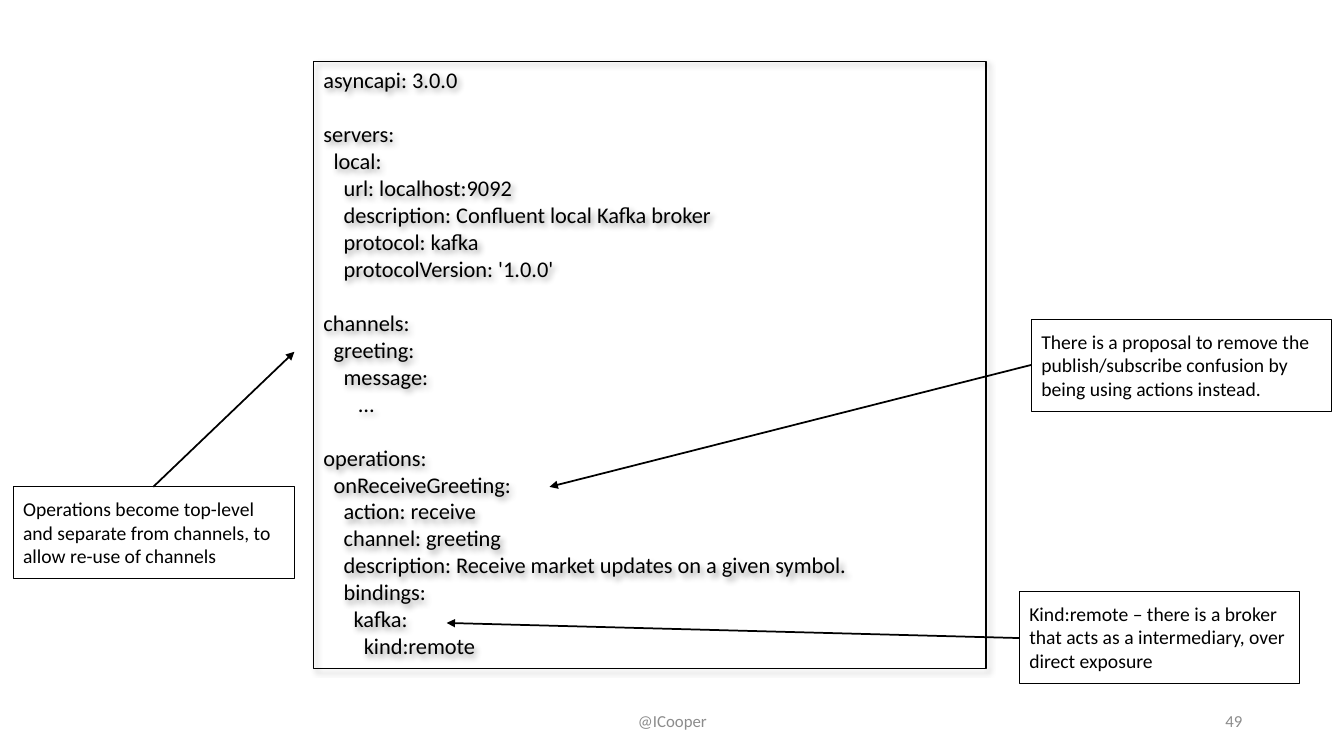
from dataclasses import dataclass

from lxml import etree
from pptx import Presentation
from pptx.dml.color import RGBColor
from pptx.enum.shapes import MSO_CONNECTOR, MSO_SHAPE
from pptx.enum.text import MSO_ANCHOR, MSO_AUTO_SIZE, PP_ALIGN
from pptx.oxml import parse_xml
from pptx.oxml.ns import nsdecls, qn
from pptx.util import Emu, Pt

RECTANGLE = MSO_SHAPE.RECTANGLE
STRAIGHT = MSO_CONNECTOR.STRAIGHT
TOP, MIDDLE = MSO_ANCHOR.TOP, MSO_ANCHOR.MIDDLE
LEFT, CENTER, RIGHT = PP_ALIGN.LEFT, PP_ALIGN.CENTER, PP_ALIGN.RIGHT
GROW, FIXED = MSO_AUTO_SIZE.SHAPE_TO_FIT_TEXT, MSO_AUTO_SIZE.NONE

PX = 9144  # EMU in one px, 100 px to the inch
FONT = "Calibri"
COLORS = {"ink": "000000", "footer": "8C8C8C"}
CODE_LINE = 19.5  # points in one line of code

CODE = """asyncapi: 3.0.0

servers:
  local:
    url: localhost:9092
    description: Confluent local Kafka broker
    protocol: kafka
    protocolVersion: '1.0.0'

channels:
  greeting:
    message:
       …

operations:
  onReceiveGreeting:
    action: receive
    channel: greeting
    description: Receive market updates on a given symbol.
    bindings:
      kafka:
        kind:remote"""


@dataclass(frozen=True)
class Area:
    left: int
    top: int
    width: int
    height: int

    def emu(self) -> list[Emu]:
        return [px(n) for n in (self.left, self.top, self.width, self.height)]


@dataclass(frozen=True)
class Note:
    text: str
    area: Area
    arrow_from: tuple[int, int]
    arrow_to: tuple[int, int]


@dataclass(frozen=True)
class FooterItem:
    text: str
    area: Area
    align: PP_ALIGN


NOTES = [
    Note("There is a proposal to remove the publish/subscribe confusion by "
         "being using actions instead.",
         Area(1023, 317, 298, 91), (1023, 362), (545, 483)),
    Note("Operations become top-level and separate from channels, to allow "
         "re-use of channels",
         Area(13, 483, 279, 91), (152, 483), (292, 349)),
    Note("Kind:remote – there is a broker that acts as a intermediary, over "
         "direct exposure",
         Area(1011, 587, 278, 91), (1011, 633), (443, 618)),
]
FOOTER = [
    FooterItem("@ICooper", Area(442, 695, 450, 40), CENTER),
    FooterItem("49", Area(942, 695, 300, 40), RIGHT),
]


def px(count: int) -> Emu:
    return Emu(count * PX)


def write(box, text: str, *, size: int, color: str = "ink", align=LEFT,
          anchor=TOP, fit=GROW, inset: int = 5, gap: float = 0) -> None:
    """Fill a box line by line; an empty line becomes space before the next."""
    frame = box.text_frame
    frame.word_wrap = True
    frame.auto_size = fit
    frame.vertical_anchor = anchor
    frame.margin_left = frame.margin_right = px(10)
    frame.margin_top = frame.margin_bottom = px(inset)
    for number, block in enumerate(text.split("\n\n")):
        for row, line in enumerate(block.split("\n")):
            first = number == row == 0
            para = frame.paragraphs[0] if first else frame.add_paragraph()
            para.alignment = align
            if row == 0 and not first:
                para.space_before = Pt(gap)
            span = para.add_run()
            span.text = line
            span.font.name = FONT
            span.font.size = Pt(size)
            span.font.color.rgb = RGBColor.from_string(COLORS[color])


def add_frame(page, area: Area):
    box = page.shapes.add_shape(RECTANGLE, *area.emu())
    box.shadow.inherit = False
    box.fill.background()
    box.line.color.rgb = RGBColor.from_string(COLORS["ink"])
    box.line.width = Pt(0.75)
    return box


def add_soft_shadow(box) -> None:
    effects = box._element.spPr.find(qn("a:effectLst"))
    effects.append(parse_xml(
        f'<a:outerShdw {nsdecls("a")} blurRad="{Pt(4)}" dist="{Pt(3)}" '
        f'dir="2700000" algn="tl" rotWithShape="0">'
        f'<a:srgbClr val="{COLORS["ink"]}"><a:alpha val="40000"/></a:srgbClr>'
        f'</a:outerShdw>'))


def add_arrow(page, start: tuple[int, int], end: tuple[int, int]) -> None:
    arrow = page.shapes.add_connector(STRAIGHT, *map(px, start + end))
    arrow.line.color.rgb = RGBColor.from_string(COLORS["ink"])
    arrow.line.width = Pt(1.25)
    etree.SubElement(arrow.line._get_or_add_ln(), qn("a:tailEnd"), type="triangle")
    etree.SubElement(arrow._element.spPr, qn("a:effectLst"))


def main() -> None:
    deck = Presentation()
    deck.slide_width, deck.slide_height = px(1333), px(750)
    page = deck.slides.add_slide(deck.slide_layouts[6])

    # Code listing
    listing = add_frame(page, Area(311, 61, 667, 602))
    add_soft_shadow(listing)
    write(listing, CODE, size=16, gap=CODE_LINE)

    # Notes with arrows into the listing
    for note in NOTES:
        write(add_frame(page, note.area), note.text, size=14, inset=10)
        add_arrow(page, note.arrow_from, note.arrow_to)

    # Footer
    for item in FOOTER:
        box = page.shapes.add_textbox(*item.area.emu())
        write(box, item.text, size=12, color="footer", align=item.align,
              anchor=MIDDLE, fit=FIXED)

    deck.save("out.pptx")


if __name__ == "__main__":
    main()
